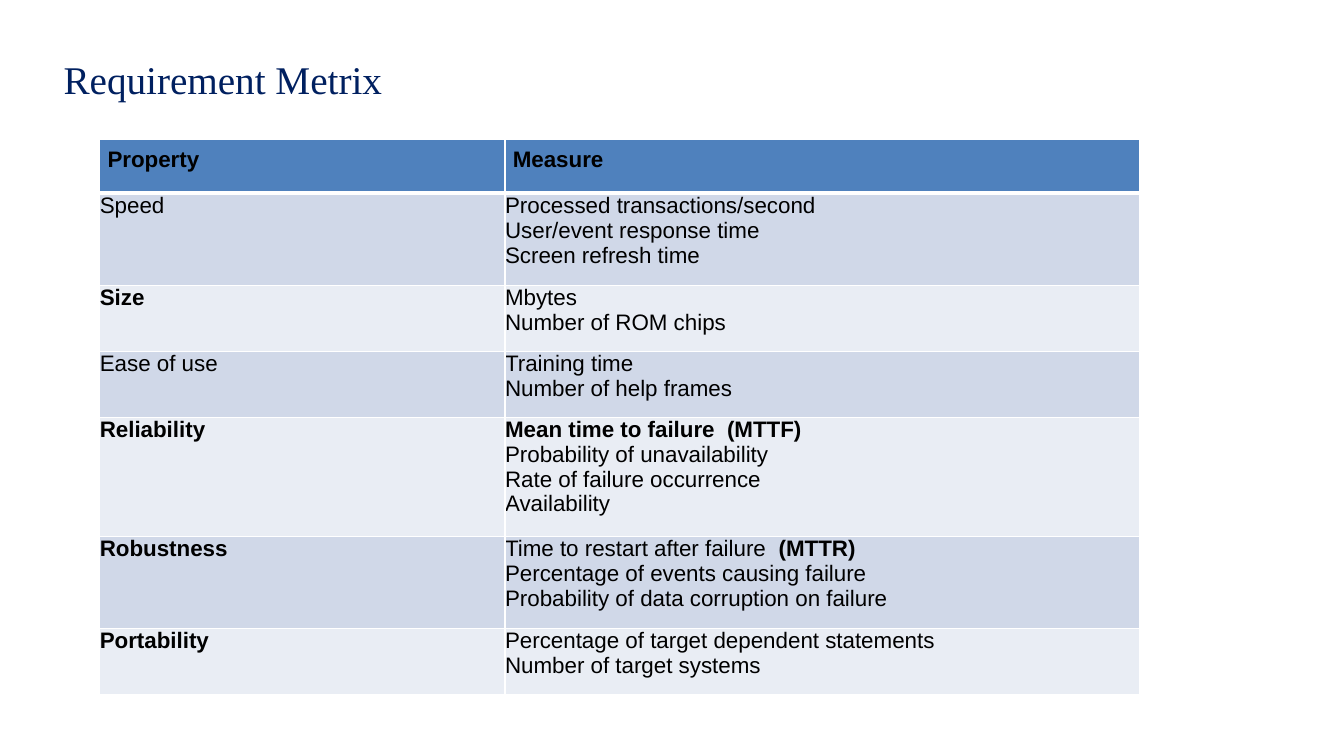
from dataclasses import dataclass

from lxml import etree
from pptx import Presentation
from pptx import util as u
from pptx.dml import color
from pptx.enum import text
from pptx.oxml import ns

Run = tuple[str, bool]


@dataclass(frozen=True)
class Requirement:
    name: Run
    measures: list[list[Run]]
    name_align: text.PP_ALIGN = text.PP_ALIGN.JUSTIFY


HEADINGS = ["Property", "Measure"]
REQUIREMENTS = [
    Requirement(("Speed", False), [
        [("Processed transactions/second", False)],
        [("User/event response time", False)],
        [("Screen refresh time", False)],
    ]),
    Requirement(("Size", True), [
        [("Mbytes", False)],
        [("Number of ROM chips", False)],
    ]),
    Requirement(("Ease of use", False), [
        [("Training time", False)],
        [("Number of help frames", False)],
    ]),
    Requirement(("Reliability", True), [
        [("Mean time to failure  (MTTF)", True)],
        [("Probability of unavailability", False)],
        [("Rate of failure occurrence", False)],
        [("Availability", False)],
    ], text.PP_ALIGN.LEFT),
    Requirement(("Robustness", True), [
        [("Time to restart after failure  ", False), ("(MTTR)", True)],
        [("Percentage of events causing failure", False)],
        [("Probability of data corruption on failure", False)],
    ]),
    Requirement(("Portability", True), [
        [("Percentage of target dependent statements", False)],
        [("Number of target systems", False)],
    ]),
]
HEADER_FILL = "4F81BD"
BAND_FILLS = ["D0D8E8", "E9EDF4"]
COLUMN_WIDTHS = [289.5, 453]
HEADER_HEIGHT = 38.5
LINE_HEIGHT = 19
ROW_GAP = 9
THIN, THICK = 1, 3


def set_color(target, value: str) -> None:
    if hasattr(target, "solid"):
        target.solid()
        target = target.fore_color
    target.rgb = color.RGBColor.from_string(value)


def add_run(paragraph, wording: str, font: str, size: float, ink: str, bold: bool = False) -> None:
    run = paragraph.add_run()
    run.text = wording
    run.font.name = font
    run.font.size = u.Pt(size)
    run.font.bold = bold
    set_color(run.font.color, ink)


def set_borders(cell, top: float, bottom: float) -> None:
    properties = cell._tc.get_or_add_tcPr()
    edges = [("lnL", THIN), ("lnR", THIN), ("lnT", top), ("lnB", bottom)]
    for index, (edge, width) in enumerate(edges):
        line = etree.Element(ns.qn(f"a:{edge}"), w=str(u.Pt(width)))
        fill = etree.SubElement(line, ns.qn("a:solidFill"))
        etree.SubElement(fill, ns.qn("a:srgbClr"), val="FFFFFF")
        properties.insert(index, line)


def fill_cell(cell, lines: list[list[Run]], fill: str, inset: float,
              top: float, bottom: float, align: text.PP_ALIGN) -> None:
    set_color(cell.fill, fill)
    set_borders(cell, top, bottom)
    cell.margin_left = cell.margin_right = u.Pt(inset)
    cell.margin_top = cell.margin_bottom = u.Pt(inset)
    frame = cell.text_frame
    for index, line in enumerate(lines):
        paragraph = frame.add_paragraph() if index else frame.paragraphs[0]
        paragraph.alignment = align
        for wording, bold in line:
            add_run(paragraph, wording, "Arial", 16, "000000", bold)


def add_title(slide) -> None:
    title = slide.shapes.title
    title.left, title.top = u.Pt(38.2), u.Pt(23)
    title.width, title.height = u.Pt(574.6), u.Pt(71.3)
    title.text_frame.vertical_anchor = text.MSO_ANCHOR.MIDDLE
    paragraph = title.text_frame.paragraphs[0]
    paragraph.alignment = text.PP_ALIGN.LEFT
    paragraph.line_spacing = 0.9
    add_run(paragraph, "Requirement Metrix", "Times New Roman", 28, "002060")


def add_metrics(slide) -> None:
    heights = [HEADER_HEIGHT] + [
        LINE_HEIGHT * len(item.measures) + ROW_GAP for item in REQUIREMENTS
    ]
    metrics = slide.shapes.add_table(
        len(heights), len(COLUMN_WIDTHS), u.Pt(71.3), u.Pt(99.5),
        u.Pt(sum(COLUMN_WIDTHS)), u.Pt(sum(heights)),
    ).table
    for column, width in zip(metrics.columns, COLUMN_WIDTHS):
        column.width = u.Pt(width)
    for row, height in zip(metrics.rows, heights):
        row.height = u.Pt(height)
    justify = text.PP_ALIGN.JUSTIFY
    for column, heading in enumerate(HEADINGS):
        fill_cell(metrics.cell(0, column), [[(heading, True)]], HEADER_FILL,
                  5.5, THIN, THICK, justify)
    for row, item in enumerate(REQUIREMENTS, start=1):
        fill = BAND_FILLS[(row - 1) % 2]
        top = THICK if row == 1 else THIN
        fill_cell(metrics.cell(row, 0), [[item.name]], fill, 0, top, THIN, item.name_align)
        fill_cell(metrics.cell(row, 1), item.measures, fill, 0, top, THIN, justify)


def main() -> None:
    deck = Presentation()
    deck.slide_width, deck.slide_height = u.Pt(960), u.Pt(540)
    slide = deck.slides.add_slide(deck.slide_layouts[5])
    set_color(slide.background.fill, "FFFFFF")
    add_title(slide)
    add_metrics(slide)
    deck.save("out.pptx")


if __name__ == "__main__":
    main()
